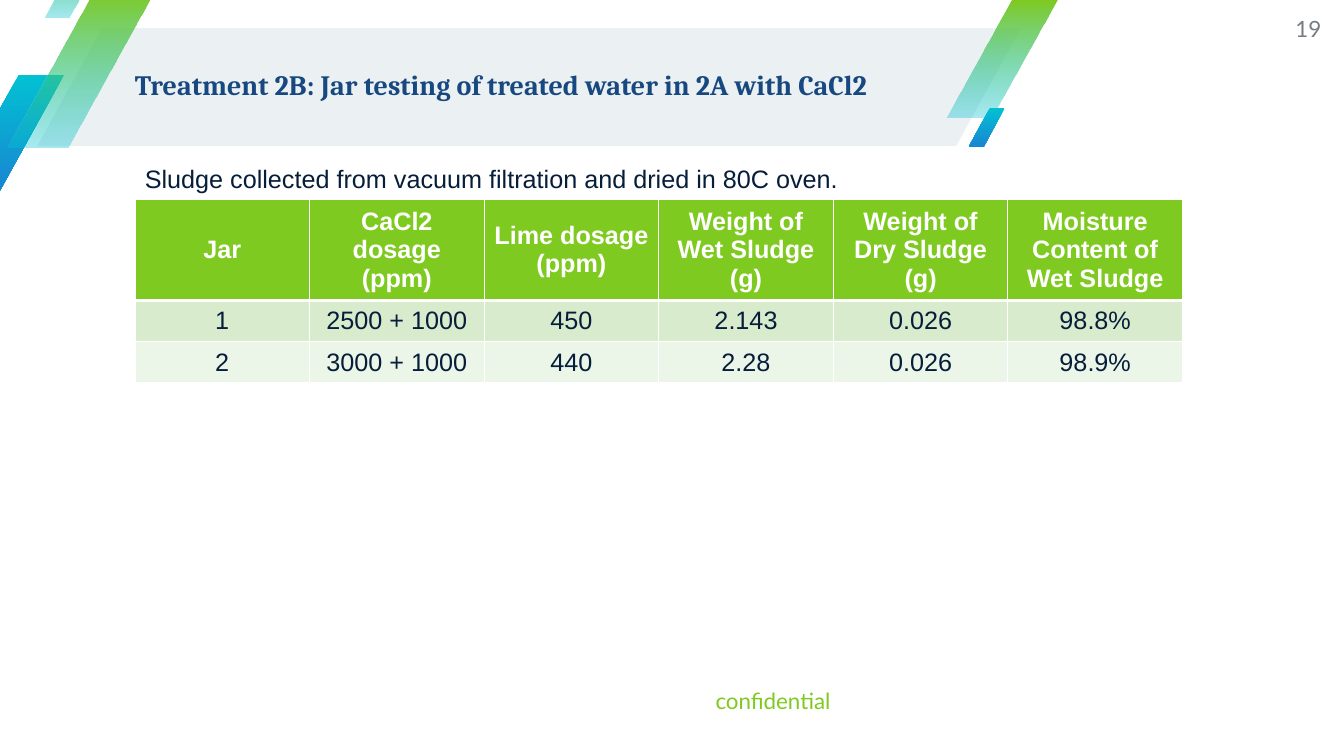
from lxml import etree
from pptx import Presentation
from pptx.dml.color import RGBColor
from pptx.enum.shapes import MSO_SHAPE
from pptx.enum.text import MSO_ANCHOR, MSO_AUTO_SIZE, PP_ALIGN
from pptx.oxml.ns import qn
from pptx.util import Cm, Pt

COLORS = {
    "banner": "EBF0F3", "green": "7FCA20", "cyan": "02C1D3", "blue": "1985D2",
    "title": "184880", "text": "061E3A", "number": "757C83", "white": "FFFFFF",
    "band_dark": "D8ECCD", "band_light": "ECF6E8",
}


def color(name):
    return RGBColor.from_string(COLORS[name])


def add_text(text, box, font_name, size, color_name, align=PP_ALIGN.LEFT, margin=0):
    text_box = slide.shapes.add_textbox(*(Cm(value) for value in box))
    frame = text_box.text_frame
    frame.word_wrap = True
    frame.vertical_anchor = MSO_ANCHOR.MIDDLE
    frame.margin_left = frame.margin_right = Cm(margin)
    frame.margin_top = frame.margin_bottom = Cm(margin / 2)
    frame.text = text
    paragraph = frame.paragraphs[0]
    paragraph.alignment = align
    font = paragraph.runs[0].font
    font.name, font.size, font.color.rgb = font_name, Pt(size), color(color_name)
    return frame


presentation = Presentation()
presentation.slide_width, presentation.slide_height = Cm(33.87), Cm(19.05)
slide = presentation.slides.add_slide(presentation.slide_layouts[6])

# Header band and slanted stripes: box, slant, top colour, bottom colour, bottom opacity
stripes = [
    ((0.94, 0.71, 24.79, 2.97), 0.55, "banner", None, 100),
    ((-1.17, 1.88, 2.79, 2.97), 0.59, "cyan", "blue", 100),
    ((23.85, 0, 2.79, 2.97), 0.59, "green", "cyan", 34),
    ((0.2, -0.25, 3.71, 3.96), 0.59, "green", "cyan", 34),
    ((1.12, -1.22, 1.55, 1.65), 0.59, "green", "cyan", 34),
    ((24.41, 2.72, 0.91, 0.99), 0.59, "cyan", "blue", 100),
]
for box, slant, top_color, bottom_color, opacity in stripes:
    shape = slide.shapes.add_shape(MSO_SHAPE.PARALLELOGRAM, *(Cm(value) for value in box))
    shape.shadow.inherit = False
    shape.adjustments[0] = slant
    shape.line.fill.background()
    if bottom_color is None:
        shape.fill.solid()
        shape.fill.fore_color.rgb = color(top_color)
        continue
    shape.fill.gradient()
    shape.fill.gradient_angle = 270
    stops = shape.fill.gradient_stops
    for stop, position, name in zip(stops, (0, 1), (top_color, bottom_color)):
        stop.position = position
        stop.color.rgb = color(name)
    if opacity < 100:
        last_color = list(shape._element.spPr.iter(qn("a:srgbClr")))[-1]
        etree.SubElement(last_color, qn("a:alpha")).set("val", str(opacity * 1000))

# Footer and slide number
add_text("confidential", (11.86, 16.94, 9.07, 1.45), "Lato", 16, "green", PP_ALIGN.RIGHT)
add_text("19", (31.7, 0, 1.6, 1.45), "Lato", 16, "number", PP_ALIGN.RIGHT)

# Sludge table
rows = [
    ["Jar", "CaCl2 dosage (ppm)", "Lime dosage (ppm)", "Weight of Wet Sludge (g)",
     "Weight of Dry Sludge (g)", "Moisture Content of Wet Sludge"],
    ["1", "2500 + 1000", "450", "2.143", "0.026", "98.8%"],
    ["2", "3000 + 1000", "440", "2.28", "0.026", "98.9%"],
]
row_heights = [2.01, 1.04, 1.04]
row_fills = ["green", "band_dark", "band_light"]
table = slide.shapes.add_table(
    len(rows), len(rows[0]), Cm(3.4), Cm(5.03), Cm(26.4), Cm(sum(row_heights))).table
for column in table.columns:
    column.width = Cm(4.4)
for row_index, values in enumerate(rows):
    table.rows[row_index].height = Cm(row_heights[row_index])
    is_header = row_index == 0
    borders = {"lnL": 1, "lnR": 1, "lnT": 3 if row_index == 1 else 1,
               "lnB": 3 if is_header else 1}
    for column_index, value in enumerate(values):
        cell = table.cell(row_index, column_index)
        cell.text = value
        cell.vertical_anchor = MSO_ANCHOR.MIDDLE
        properties = cell._tc.get_or_add_tcPr()
        for side, width in borders.items():
            border = etree.SubElement(properties, qn(f"a:{side}"), w=str(Pt(width)))
            border_fill = etree.SubElement(border, qn("a:solidFill"))
            etree.SubElement(border_fill, qn("a:srgbClr"), val=COLORS["white"])
        cell.fill.solid()
        cell.fill.fore_color.rgb = color(row_fills[row_index])
        paragraph = cell.text_frame.paragraphs[0]
        paragraph.alignment = PP_ALIGN.CENTER
        font = paragraph.runs[0].font
        font.name, font.size, font.bold = "Arial", Pt(18), is_header
        font.color.rgb = color("white" if is_header else "text")

# Title
title = add_text("Treatment 2B: Jar testing of treated water in 2A with CaCl2",
                 (3.4, 0.66, 22.33, 3.02), "Cambria", 20, "title").paragraphs[0]
title.line_spacing = 0.9
title.runs[0].font.bold = True

# Note above the table
note = add_text("Sludge collected from vacuum filtration and dried in 80C oven.",
                (3.4, 3.99, 18.14, 1.02), "Arial", 18, "text", margin=0.25)
note.word_wrap = False
note.auto_size = MSO_AUTO_SIZE.SHAPE_TO_FIT_TEXT
note.vertical_anchor = MSO_ANCHOR.TOP

presentation.save("out.pptx")
